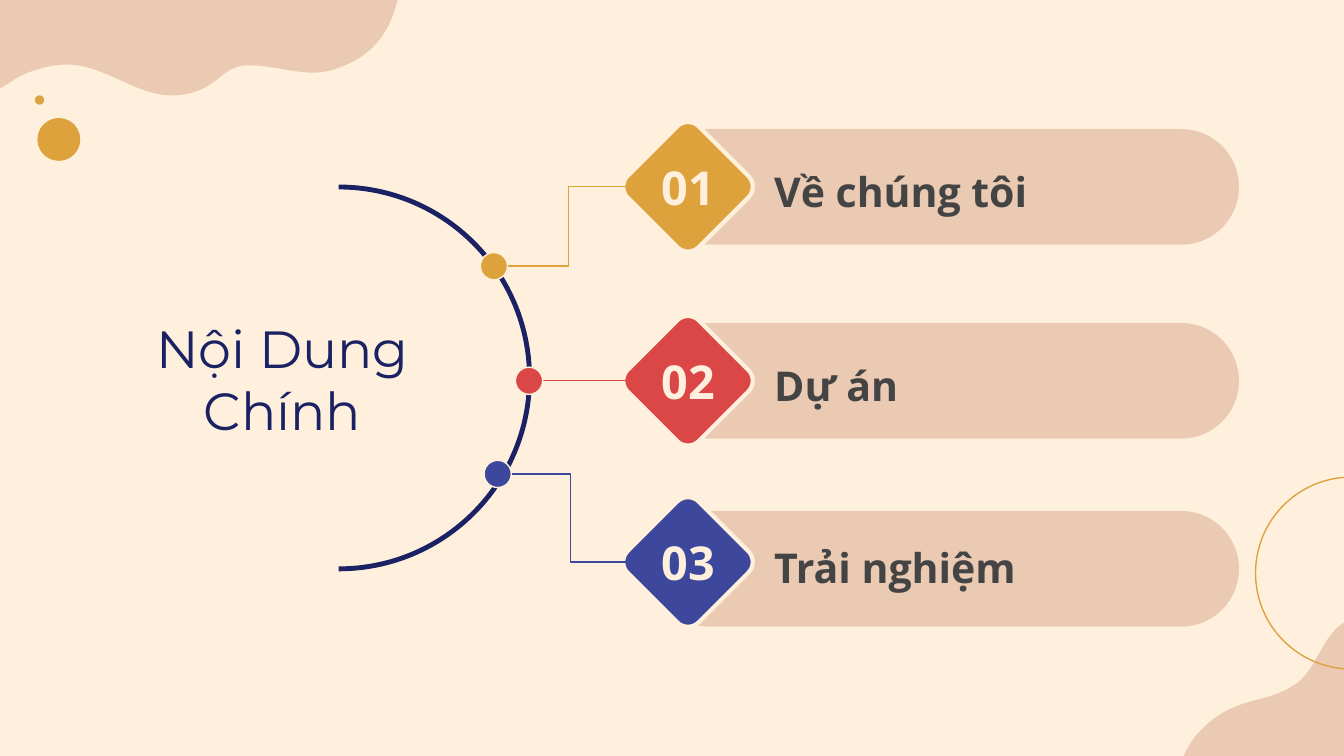
from lxml import etree
from pptx import Presentation
from pptx import util as u
from pptx.dml.color import RGBColor
from pptx.enum import shapes, text
from pptx.oxml import ns

CREAM = RGBColor(0xFF, 0xF0, 0xDE)
SAND = RGBColor(0xEB, 0xCA, 0xB3)
GOLD = RGBColor(0xDE, 0xA2, 0x3C)
RED = RGBColor(0xDB, 0x46, 0x46)
BLUE = RGBColor(0x3D, 0x48, 0x9C)
NAVY = RGBColor(0x1A, 0x22, 0x63)
GREY = RGBColor(0x44, 0x44, 0x44)

# Outlines: a start point, then lines (one point) and curves (three points)
TOP_BLOB = [
    (0, 0), (0, 47.5),
    (5, 44.6, 9.4, 41, 15.1, 38.9), (23, 36, 29.5, 34.6, 35.3, 34.6),
    (49, 34.6, 59, 41, 74.9, 47.5), (80.6, 49.7, 86.4, 51.1, 92.2, 51.1),
    (98.6, 51.1, 104.4, 49.7, 110.2, 46.8), (118.8, 41.8, 122.4, 35, 133.2, 35),
    (146, 35, 156, 38.9, 167.8, 38.9), (172, 38.9, 177, 38.2, 182.2, 36),
    (198.7, 30.2, 208, 18.7, 212.4, 2.2), (212.6, 1.4, 213, 0.7, 213.1, 0),
]
CORNER_BLOB = [
    (640.8, 393.8),
    (641.5, 393.1, 642.2, 392.4, 643, 391.7),
    (648.7, 385.2, 656.6, 380.2, 665.3, 377.3),
    (673.9, 374.4, 684, 373, 691.9, 367.9),
    (702, 362.2, 705.6, 350.6, 712.1, 341.3),
    (715.7, 336.2, 721.4, 331.2, 727.9, 330.5),
    (741.6, 329, 746.6, 342, 746.6, 353.5),
    (746.6, 367.2, 740.2, 380.2, 733.7, 392.4),
    (727.9, 403.2, 720, 413.3, 711.4, 421.2),
    (698.4, 432.7, 682.6, 443.8, 666, 448.6),
    (653.8, 452.2, 639.4, 447.8, 632.9, 437),
    (625, 423.4, 632.2, 405.4, 640.8, 393.8),
]
ARC = [(181.4, 100.2), (237.9, 100.2, 283.7, 146, 283.7, 202.5),
       (283.7, 259, 237.9, 304.8, 181.4, 304.8)]
# From the top tip of a diamond to its left tip
DIAMOND_SIDE = [(-2.1, -34.7, -4.2, -33.9, -5.7, -32.4), (-32.4, -5.7),
                (-33.9, -4.2, -34.7, -2.1, -34.7, 0)]

# Number, label, colour, bar middle, badge middle, dot centre, connector end
ROWS = [
    ("01", "Về chúng tôi", GOLD, 100.1, 100.1, (264.6, 142.6), 337),
    ("02", "Dự án", RED, 204, 204, (283.4, 204), 345.6),
    ("03", "Trải nghiệm", BLUE, 304.7, 301.1, (266.6, 253.9), 337),
]
BADGE_X = 368.6


def pairs(segment):
    return list(zip(segment[::2], segment[1::2]))


def diamond(x, y):
    """Turn one side of the diamond four times around a centre."""
    segments = [(0, -34.7)]
    side = DIAMOND_SIDE
    for _ in range(4):
        segments += side
        side = [[v for dx, dy in pairs(part) for v in (dy, -dx)] for part in side]
    return [[v for dx, dy in pairs(part) for v in (x + dx, y + dy)]
            for part in segments]


def write(box, words, font="Open Sans", size=22, color=GREY, bold=True,
          align=text.PP_ALIGN.LEFT):
    frame = box.text_frame
    frame.word_wrap = True
    frame.vertical_anchor = text.MSO_ANCHOR.MIDDLE
    frame.margin_left = frame.margin_right = u.Pt(7.2)
    frame.margin_top = frame.margin_bottom = u.Pt(7.2)
    para = frame.paragraphs[0]
    para.text = words
    para.alignment = align
    for span in para.runs:
        span.font.name = font
        span.font.size = u.Pt(size)
        span.font.bold = bold
        span.font.color.rgb = color


class Painter:
    def __init__(self, page, background):
        self.page = page
        page.background.fill.solid()
        page.background.fill.fore_color.rgb = background

    def style(self, shape, fill, line, width):
        shape.shadow.inherit = False
        if fill is None:
            shape.fill.background()
        else:
            shape.fill.solid()
            shape.fill.fore_color.rgb = fill
        if line is None:
            shape.line.fill.background()
        else:
            shape.line.color.rgb = line
            shape.line.width = u.Pt(width)
        return shape

    def preset(self, kind, x, y, w, h, fill=None, line=None, width=0.75):
        shape = self.page.shapes.add_shape(kind, u.Pt(x), u.Pt(y), u.Pt(w), u.Pt(h))
        return self.style(shape, fill, line, width)

    def circle(self, x, y, radius, **look):
        return self.preset(shapes.MSO_SHAPE.OVAL, x - radius, y - radius,
                           2 * radius, 2 * radius, **look)

    def outline(self, segments, fill=None, line=None, width=0.75, close=True):
        first, *rest = [(u.Pt(part[-2]), u.Pt(part[-1])) for part in segments]
        builder = self.page.shapes.build_freeform(*first)
        builder.add_line_segments(rest, close=close)
        shape = builder.convert_to_shape()
        # Bend the straight steps that have control points
        steps = list(shape._element.iter(ns.qn("a:lnTo")))
        for step, part in zip(steps, segments[1:]):
            if len(part) == 6:
                curve = etree.Element(ns.qn("a:cubicBezTo"))
                for x, y in pairs(part):
                    etree.SubElement(curve, ns.qn("a:pt"),
                                     x=str(u.Pt(x) - shape.left),
                                     y=str(u.Pt(y) - shape.top))
                step.getparent().replace(step, curve)
        return self.style(shape, fill, line, width)

    def connector(self, start, end, color):
        kind = shapes.MSO_CONNECTOR
        kind = kind.STRAIGHT if start[1] == end[1] else kind.ELBOW
        ends = [u.Pt(length) for length in (*start, *end)]
        link = self.page.shapes.add_connector(kind, *ends)
        link.line.color.rgb = color
        link.line.width = u.Pt(0.75)
        etree.SubElement(link._element.spPr, ns.qn("a:effectLst"))

    def label(self, x, y, w, h, words, **form):
        box = self.page.shapes.add_textbox(u.Pt(x), u.Pt(y), u.Pt(w), u.Pt(h))
        write(box, words, **form)


def main():
    deck = Presentation()
    deck.slide_width, deck.slide_height = u.Pt(720), u.Pt(405)
    painter = Painter(deck.slides.add_slide(deck.slide_layouts[6]), CREAM)

    # Background decoration
    painter.outline(TOP_BLOB, fill=SAND)
    painter.circle(21.2, 53.6, 2.5, fill=GOLD)
    painter.outline(CORNER_BLOB, fill=SAND)
    painter.circle(31.5, 74.7, 11.5, fill=GOLD)
    painter.circle(724, 307, 51.4, line=GOLD)

    # Bars
    for _, _, _, bar_y, _, _, _ in ROWS:
        bar = painter.preset(shapes.MSO_SHAPE.ROUNDED_RECTANGLE,
                             349.2, bar_y - 31, 314.6, 62, fill=SAND)
        bar.adjustments[0] = 0.5

    # Title and arc
    painter.label(45.4, 157.2, 211.7, 91.4, "Nội Dung\vChính", font="Montserrat",
                  size=28, color=NAVY, bold=False, align=text.PP_ALIGN.CENTER)
    painter.outline(ARC, line=NAVY, width=2.61, close=False)

    # Badges, connectors, dots and labels
    for number, words, color, _, y, (dot_x, dot_y), end_x in ROWS:
        painter.outline(diamond(BADGE_X, y), fill=color, line=CREAM, width=2.25)
        painter.connector((dot_x + 7.6, dot_y), (end_x, y), color)
        painter.circle(dot_x, dot_y, 7.3, fill=color, line=CREAM)
        painter.label(BADGE_X - 35.3, y - 31, 70.6, 62, number, size=25,
                      color=CREAM, align=text.PP_ALIGN.CENTER)
        painter.label(407.7, y - 17, 239.8, 39, words)

    deck.save("out.pptx")


if __name__ == "__main__":
    main()
